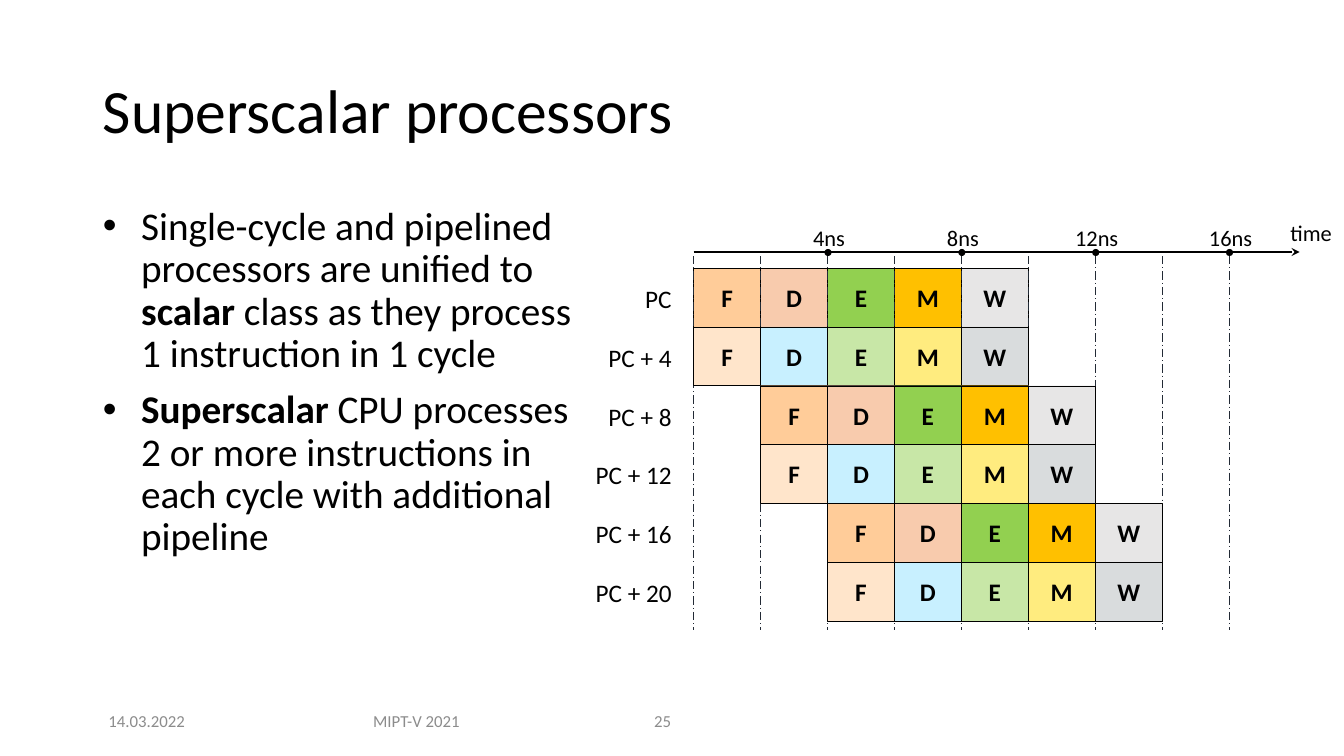
from lxml import etree
from pptx import Presentation
from pptx import util as u
from pptx.dml.color import RGBColor
from pptx.enum import dml, shapes, text
from pptx.oxml import ns

FONT = "Calibri"
STAGES = "FDEMW"
FIRST_PIPE = ["FFCC99", "F8CBAD", "92D050", "FFC000", "E7E6E6"]
SECOND_PIPE = ["FFCC99", "93E2FF", "92D050", "FFDA00", "B4BABD"]
INSTRUCTIONS = ["PC", "PC + 4", "PC + 8", "PC + 12", "PC + 16", "PC + 20"]
LEFT, TOP = 6.88, 2.66
CYCLE = 5.31 / 8
ROW = 3.5 / 6


def color(value):
    """Turn a hex string into a colour."""
    return RGBColor.from_string(value)


def add_element(parent, tag, **attributes):
    """Append a drawing element with its attributes."""
    element = etree.SubElement(parent, ns.qn(tag))
    for name, value in attributes.items():
        element.set(name, value)
    return element


def set_box(shape, left, top, width, height):
    """Place a shape by lengths in inches."""
    shape.left, shape.top = u.Inches(left), u.Inches(top)
    shape.width, shape.height = u.Inches(width), u.Inches(height)


def add_span(para, words, size=18, bold=False, ink="000000"):
    """Add one formatted run."""
    span = para.add_run()
    span.text = words
    span.font.name, span.font.size, span.font.bold = FONT, u.Pt(size), bold
    span.font.color.rgb = color(ink)


def add_text(page, box, words, align="LEFT", anchor="MIDDLE", wrap=True, **style):
    """Add a text box with a single run."""
    frame = page.shapes.add_textbox(*map(u.Inches, box)).text_frame
    frame.word_wrap = wrap
    frame.vertical_anchor = text.MSO_ANCHOR[anchor]
    para = frame.paragraphs[0]
    para.alignment = text.PP_ALIGN[align]
    add_span(para, words, **style)
    return frame


def add_shape(page, kind, box, fill, opacity=100):
    """Add a flat filled preset shape without a line."""
    shape = page.shapes.add_shape(kind, *map(u.Inches, box))
    shape.shadow.inherit = False
    shape.fill.solid()
    shape.fill.fore_color.rgb = color(fill)
    shape.line.fill.background()
    if opacity < 100:
        tint = shape.fill._xPr.find(".//" + ns.qn("a:srgbClr"))
        add_element(tint, "a:alpha", val=str(opacity * 1000))
    return shape


def add_line(page, start, end, ink, width):
    """Add a straight connector without a shadow."""
    ends = map(u.Inches, (*start, *end))
    line = page.shapes.add_connector(shapes.MSO_CONNECTOR.STRAIGHT, *ends)
    line.line.color.rgb = color(ink)
    line.line.width = u.Pt(width)
    add_element(line._element.spPr, "a:effectLst")
    return line


def add_title(page, box, words):
    """Fill the title placeholder."""
    title = page.shapes.title
    set_box(title, *box)
    frame = title.text_frame
    frame.auto_size = text.MSO_AUTO_SIZE.NONE
    frame.vertical_anchor = text.MSO_ANCHOR.MIDDLE
    para = frame.paragraphs[0]
    para.alignment = text.PP_ALIGN.LEFT
    para.line_spacing = 0.9
    add_span(para, words, size=44)


def add_bullets(page, box, items):
    """Fill the body placeholder with bulleted runs."""
    body = page.placeholders[1]
    set_box(body, *box)
    frame = body.text_frame
    frame.auto_size = text.MSO_AUTO_SIZE.NONE
    for index, spans in enumerate(items):
        para = frame.add_paragraph() if index else frame.paragraphs[0]
        properties = para._p.get_or_add_pPr()
        indent = u.Inches(0.38)
        properties.set("marL", str(indent))
        properties.set("indent", str(-indent))
        add_element(properties, "a:buFont", typeface="Arial")
        add_element(properties, "a:buChar", char="•")
        para.line_spacing = 0.9
        para.space_before = u.Pt(10 if index else 0)
        for words, bold in spans:
            add_span(para, words, size=28, bold=bold)


def add_instruction(page, index, label):
    """Draw one instruction row; two rows start in each cycle."""
    cycle, second = divmod(index, 2)
    top = TOP + index * ROW
    frame = add_text(page, (5.8, top + 0.1, 0.96, 0.4), label, align="RIGHT")
    frame.margin_left = 0
    fills = SECOND_PIPE if second else FIRST_PIPE
    for column, (stage, fill) in enumerate(zip(STAGES, fills), cycle):
        box = (LEFT + column * CYCLE, top, CYCLE, ROW)
        cell = add_shape(page, shapes.MSO_SHAPE.RECTANGLE, box, fill, 50 if second else 100)
        cell.line.color.rgb = color("000000")
        cell.line.width = u.Pt(0.25)
        frame = cell.text_frame
        frame.word_wrap = False
        frame.vertical_anchor = text.MSO_ANCHOR.MIDDLE
        para = frame.paragraphs[0]
        para.alignment = text.PP_ALIGN.CENTER
        add_span(para, stage, bold=True)


def add_timeline(page, left, top, height):
    """Draw the time axis, its marks and the cycle grid."""
    axis = add_line(page, (left, top), (left + 6.01, top), "000000", 1.5)
    add_element(axis.line._get_or_add_ln(), "a:tailEnd", type="stealth")
    label = {"anchor": "TOP", "wrap": False, "size": 16}
    add_text(page, (left + 5.82, top - 0.37, 0.62, 0.37), "time", **label)
    for cycle in range(9):
        x = left + cycle * CYCLE
        grid = add_line(page, (x, top + 0.04), (x, top + height), "222A35", 0.75)
        grid.line.dash_style = dml.MSO_LINE.LONG_DASH_DOT
        if cycle and cycle % 2 == 0:
            dot = (x - 0.03, top - 0.03, 0.07, 0.07)
            add_shape(page, shapes.MSO_SHAPE.OVAL, dot, "000000")
            box = (x - 0.3, top - 0.33, 0.63, 0.37)
            add_text(page, box, f"{cycle * 2}ns", align="CENTER", **label)


def add_footer(page, top, height):
    """Add the date, course and page number."""
    style = {"size": 12, "ink": "8C8C8C"}
    add_text(page, (0.92, top, 1.07, height), "14.03.2022", align="CENTER", **style)
    add_text(page, (3.34, top, 1.58, height), "MIPT-V 2021", align="CENTER", **style)
    add_text(page, (6.39, top, 0.79, height), "25", **style)


def main():
    """Build and save the slide."""
    deck = Presentation()
    deck.slide_width, deck.slide_height = u.Inches(13.33), u.Inches(7.5)
    page = deck.slides.add_slide(deck.slide_layouts[1])
    add_title(page, (0.92, 0.4, 11.5, 1.45), "Superscalar processors")
    add_bullets(page, (0.92, 2, 4.96, 4.52), [
        [("Single-cycle and pipelined processors are unified to ", False),
         ("scalar ", True),
         ("class as they process 1 instruction in 1 cycle", False)],
        [("Superscalar ", True),
         ("CPU processes 2 or more instructions in each cycle with additional pipeline", False)],
    ])
    for index, label in enumerate(INSTRUCTIONS):
        add_instruction(page, index, label)
        if index == 0:
            add_timeline(page, LEFT, 2.5, 3.75)
    add_footer(page, 6.95, 0.4)
    deck.save("out.pptx")


if __name__ == "__main__":
    main()
